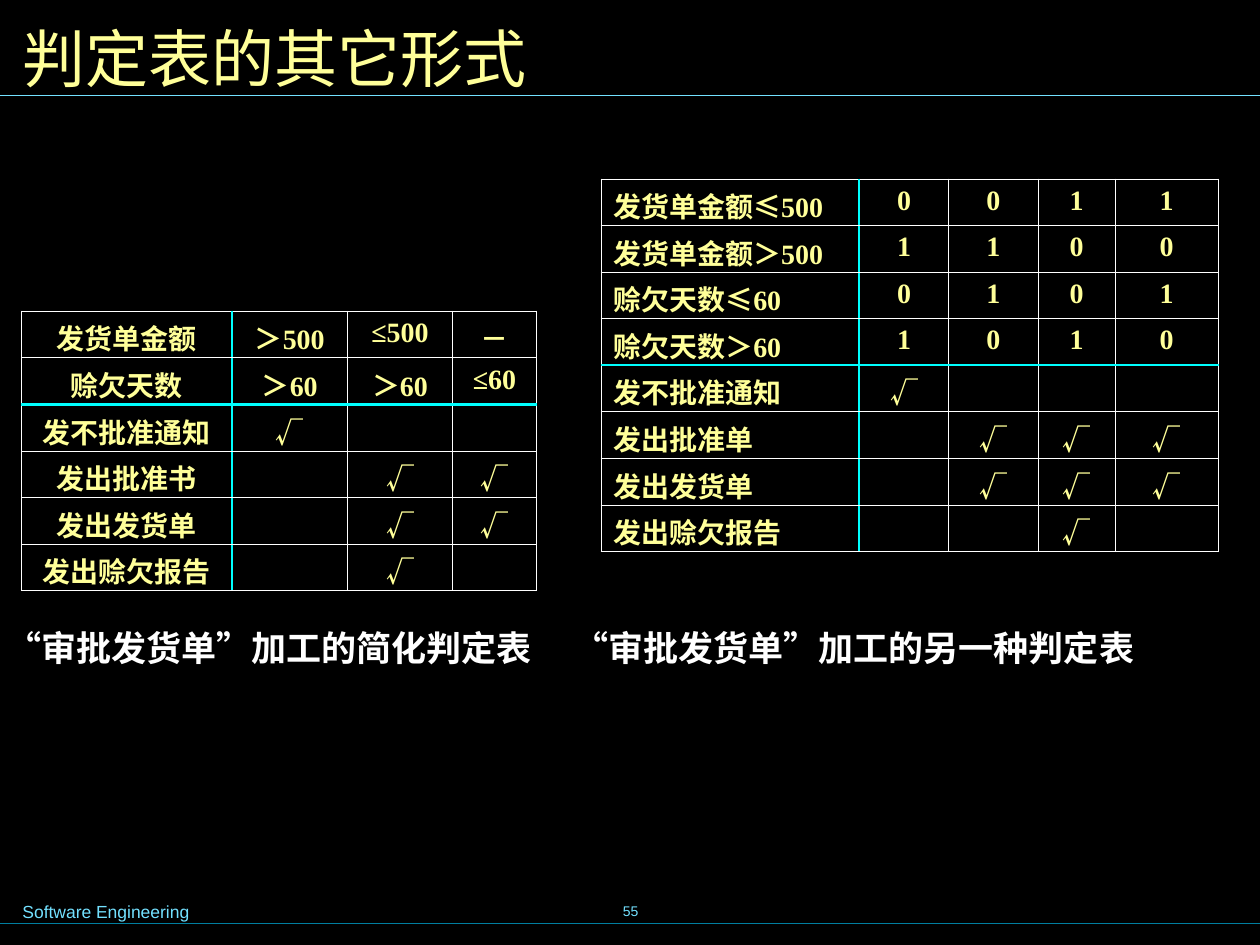
from lxml import etree
from pptx import Presentation
from pptx.dml.color import RGBColor
from pptx.enum.shapes import MSO_CONNECTOR
from pptx.enum.text import MSO_ANCHOR, PP_ALIGN
from pptx.oxml.ns import qn
from pptx.util import Inches, Pt

LEFT, CENTER = PP_ALIGN.LEFT, PP_ALIGN.CENTER
MIDDLE, TOP = MSO_ANCHOR.MIDDLE, MSO_ANCHOR.TOP
STRAIGHT = MSO_CONNECTOR.STRAIGHT

COLORS = {"background": "000000", "title": "FFFF99", "caption": "FFFFFF",
          "footer": "73E1FF", "footer_rule": "007E9F",
          "grid": "FFFFFF", "divider": "00FFFF"}
SERIF, SANS, CHINESE = "Times New Roman", "Arial", "Noto Sans CJK SC"
ROW_HEIGHT = 0.37
TICK = "√"

TITLE = "判定表的其它形式"
RULES = [(0.76, 10, "footer"), (7.33, 10.04, "footer_rule")]
FOOTERS = [
    ("55", (3.42, 6.98, 3.17, 0.5), 8, CENTER, MIDDLE),
    ("Software Engineering", (0.08, 7.1, 2.95, 0.27), 10, LEFT, TOP),
]
TABLES = [
    {"position": (0.17, 2.47), "columns": [1.67, 0.92, 0.83, 0.67],
     "label_align": CENTER, "conditions": 2,
     "rows": [
         ["发货单金额", "＞500", "≤500", "－"],
         ["赊欠天数", "＞60", "＞60", "≤60"],
         ["发不批准通知", TICK, "", ""],
         ["发出批准书", "", TICK, TICK],
         ["发出发货单", "", TICK, TICK],
         ["发出赊欠报告", "", TICK, ""],
     ]},
    {"position": (4.77, 1.42), "columns": [2.05, 0.71, 0.71, 0.61, 0.82],
     "label_align": LEFT, "conditions": 4,
     "rows": [
         ["发货单金额≤500", "0", "0", "1", "1"],
         ["发货单金额＞500", "1", "1", "0", "0"],
         ["赊欠天数≤60", "0", "1", "0", "1"],
         ["赊欠天数＞60", "1", "0", "1", "0"],
         ["发不批准通知", TICK, "", "", ""],
         ["发出批准单", "", TICK, TICK, TICK],
         ["发出发货单", "", TICK, TICK, TICK],
         ["发出赊欠报告", "", "", TICK, ""],
     ]},
]
CAPTIONS = [("加工的简化判定表", (-0.05, 4.92, 4.51, 0.44)),
            ("加工的另一种判定表", (4.45, 4.92, 4.79, 0.44))]


def color(name):
    return RGBColor.from_string(COLORS[name])


def style(font, name, size, color_name, bold=False):
    font.name, font.size, font.bold = name, Pt(size), bold
    font.color.rgb = color(color_name)


def add_rule(slide, y, end_x, color_name):
    line = slide.shapes.add_connector(STRAIGHT, 0, Inches(y), Inches(end_x), Inches(y))
    line.line.color.rgb = color(color_name)
    line.line.width = Pt(0.75)
    etree.SubElement(line._element.spPr, qn("a:effectLst"))


def add_text_box(slide, box, anchor, wrap):
    frame = slide.shapes.add_textbox(*map(Inches, box)).text_frame
    frame.word_wrap, frame.vertical_anchor = wrap, anchor
    return frame.paragraphs[0]


def add_border(cell, side, is_divider):
    width, name = (1.47, "divider") if is_divider else (0.45, "grid")
    border = etree.SubElement(cell._tc.get_or_add_tcPr(), qn(f"a:ln{side}"), w=str(Pt(width)))
    fill = etree.SubElement(border, qn("a:solidFill"))
    etree.SubElement(fill, qn("a:srgbClr"), val=COLORS[name])


def add_decision_table(slide, position, columns, label_align, conditions, rows):
    """Draw a table whose dividers part labels from rules and conditions from actions."""
    size = (sum(columns), ROW_HEIGHT * len(rows))
    table = slide.shapes.add_table(len(rows), len(columns),
                                   *map(Inches, position + size)).table
    table.first_row = table.horz_banding = False
    for column, width in zip(table.columns, columns):
        column.width = Inches(width)
    for r, row in enumerate(rows):
        table.rows[r].height = Inches(ROW_HEIGHT)
        for c, text in enumerate(row):
            cell = table.cell(r, c)
            dividers = {"L": c == 1, "R": c == 0,
                        "T": r == conditions, "B": r == conditions - 1}
            for side, is_divider in dividers.items():
                add_border(cell, side, is_divider)
            cell.fill.background()
            cell.text = text
            paragraph = cell.text_frame.paragraphs[0]
            paragraph.alignment = CENTER if c else label_align
            style(paragraph.font, CHINESE if text == TICK else SERIF, 16, "title", True)


def main():
    presentation = Presentation()
    presentation.slide_width, presentation.slide_height = Inches(10), Inches(7.5)
    slide = presentation.slides.add_slide(presentation.slide_layouts[5])
    slide.background.fill.solid()
    slide.background.fill.fore_color.rgb = color("background")

    title = slide.shapes.title
    title.left, title.top, title.width, title.height = map(Inches, (0.08, 0.08, 9.84, 0.75))
    title.text_frame.text = TITLE
    title.text_frame.vertical_anchor = MIDDLE
    paragraph = title.text_frame.paragraphs[0]
    paragraph.alignment = LEFT
    style(paragraph.font, "Arial Narrow", 36, "title")

    for rule in RULES:
        add_rule(slide, *rule)
    for text, box, size, align, anchor in FOOTERS:
        paragraph = add_text_box(slide, box, anchor, True)
        paragraph.text, paragraph.alignment = text, align
        style(paragraph.font, SANS, size, "footer")
    for table in TABLES:
        add_decision_table(slide, **table)
    for ending, box in CAPTIONS:
        paragraph = add_text_box(slide, box, MIDDLE, False)
        for text, font in [("“", SANS), ("审批发货单", CHINESE), ("”", SANS), (ending, CHINESE)]:
            run = paragraph.add_run()
            run.text = text
            style(run.font, font, 20, "caption", True)

    presentation.save("out.pptx")


if __name__ == "__main__":
    main()
